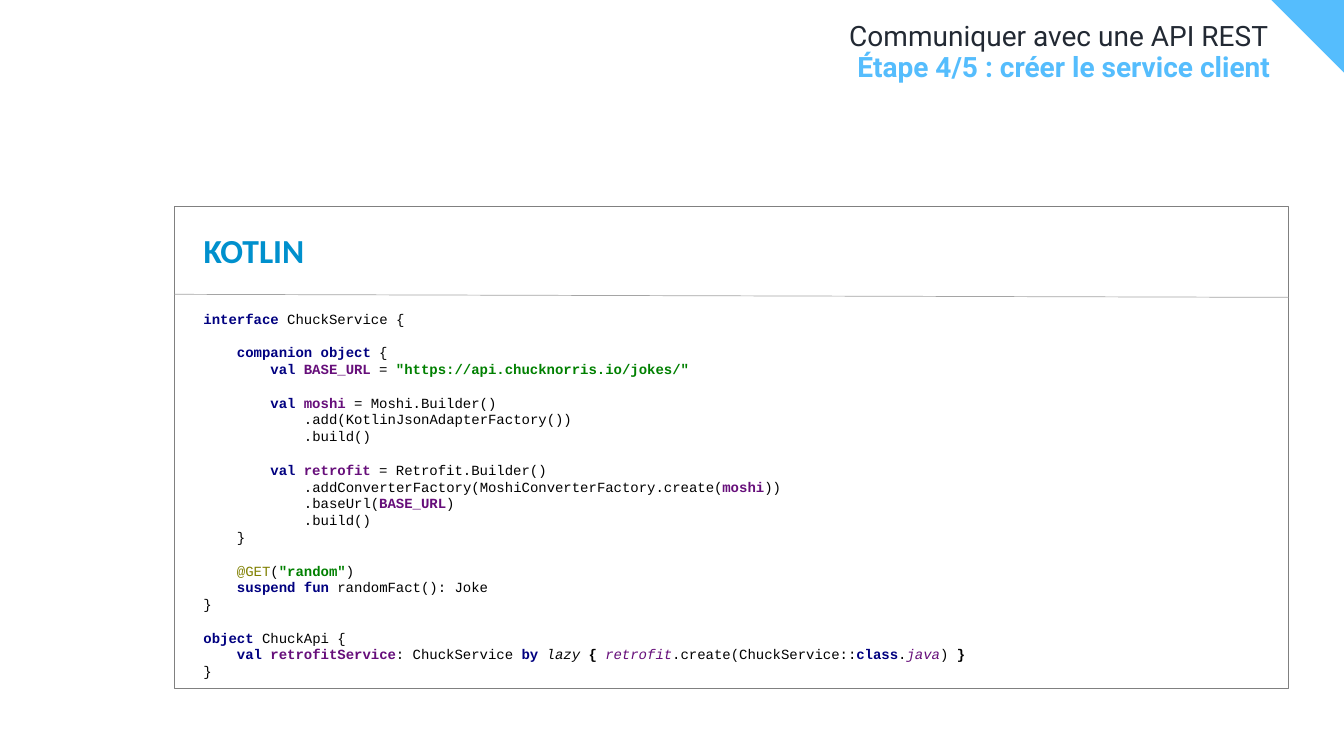
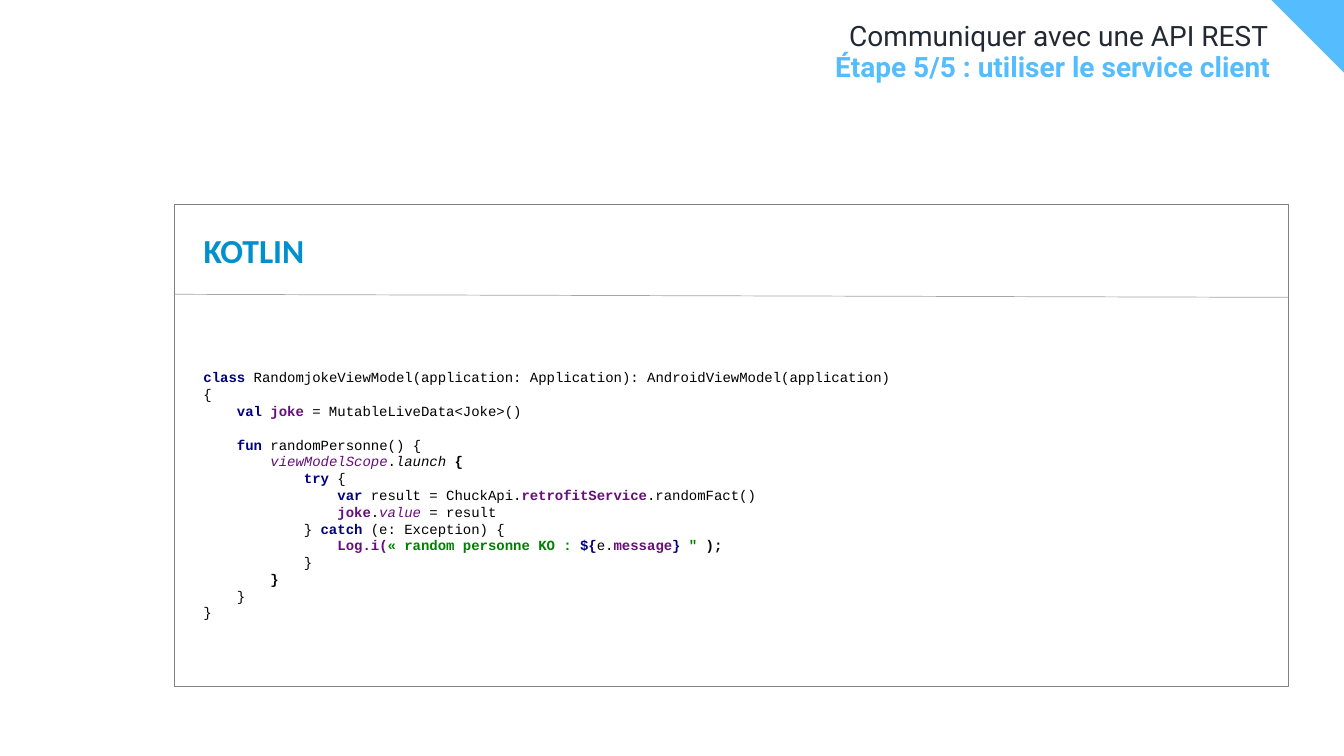
import pptx
import pptx.util
import pptx.dml.color
import pptx.enum.shapes
import pptx.enum.text
import pptx.oxml.ns
from lxml import etree

Inches, Pt = pptx.util.Inches, pptx.util.Pt
Align = pptx.enum.text.PP_ALIGN
Anchor = pptx.enum.text.MSO_ANCHOR
RECTANGLE = pptx.enum.shapes.MSO_SHAPE.RECTANGLE

COLORS = {
    "white": "FFFFFF", "black": "000000", "sky": "55BDFD", "ink": "222933",
    "frame": "808080", "rule": "A5A5A5", "language": "0090CD",
    "navy": "000080", "purple": "660E7A", "green": "008000", "olive": "808000",
}

# Syntax styles: colour, bold, italic
SYNTAX = {
    "plain": ("black", False, False),
    "strong": ("black", True, False),
    "call": ("black", False, True),
    "key": ("navy", True, False),
    "name": ("purple", True, False),
    "ref": ("purple", False, True),
    "text": ("green", True, False),
    "note": ("olive", False, False),
}

# Shared geometry, in inches: left, top, width, height
TITLE_BOX = (0.37, 0.22, 12.21, 0.31)
STEP_BOX = (0.37, 0.53, 12.23, 0.43)
CODE_REGION = (1.73, 2.04, 11.05, 4.78)
CODE_LINE = 12  # points

# Code: one tuple of (style, text) runs a line; an empty tuple is a gap
SERVICE_CODE = [
    (("key", "interface "), ("plain", "ChuckService {")),
    (),
    (("key", "    companion object "), ("plain", "{")),
    (("key", "        val "), ("name", "BASE_URL "), ("plain", "= "),
     ("text", "\"https://api.chucknorris.io/jokes/\"")),
    (),
    (("key", "        val "), ("name", "moshi "), ("plain", "= Moshi.Builder()")),
    (("plain", "            .add(KotlinJsonAdapterFactory())"),),
    (("plain", "            .build()"),),
    (),
    (("key", "        val "), ("name", "retrofit "), ("plain", "= Retrofit.Builder()")),
    (("plain", "            .addConverterFactory(MoshiConverterFactory.create("),
     ("name", "moshi"), ("plain", "))")),
    (("plain", "            .baseUrl("), ("name", "BASE_URL"), ("plain", ")")),
    (("plain", "            .build()"),),
    (("plain", "    }"),),
    (),
    (("note", "    @GET"), ("plain", "("), ("text", "\"random\""), ("plain", ")")),
    (("key", "    suspend fun "), ("plain", "randomFact(): Joke")),
    (("plain", "}"),),
    (),
    (("key", "object "), ("plain", "ChuckApi {")),
    (("key", "    val "), ("name", "retrofitService"), ("plain", ": ChuckService "),
     ("key", "by "), ("call", "lazy "), ("strong", "{ "), ("ref", "retrofit"),
     ("plain", ".create(ChuckService::"), ("key", "class"), ("plain", "."),
     ("ref", "java"), ("plain", ") "), ("strong", "}")),
    (("plain", "}"),),
]
VIEW_MODEL_CODE = [
    (("key", "class "),
     ("plain", "RandomjokeViewModel(application: Application): AndroidViewModel(application)")),
    (("plain", "{"),),
    (("key", "    val "), ("name", "joke "), ("plain", "= MutableLiveData<Joke>()")),
    (),
    (("key", "    fun "), ("plain", "randomPersonne() {")),
    (("ref", "        viewModelScope"), ("plain", "."), ("call", "launch "), ("strong", "{")),
    (("key", "            try "), ("plain", "{")),
    (("key", "                var "), ("plain", "result = ChuckApi."),
     ("name", "retrofitService"), ("plain", ".randomFact()")),
    (("name", "                joke"), ("plain", "."), ("ref", "value "), ("plain", "= result")),
    (("plain", "            } "), ("key", "catch "), ("plain", "(e: Exception) {")),
    (("name", "                Log.i("), ("text", "« random personne KO : "), ("key", "${"),
     ("plain", "e."), ("name", "message"), ("key", "}"), ("text", " \" "), ("strong", ");")),
    (("plain", "            }"),),
    (("strong", "        }"),),
    (("plain", "    }"),),
    (("plain", "}"),),
]


def rgb(color):
    return pptx.dml.color.RGBColor.from_string(COLORS[color])


def add_run(paragraph, text, font, size, color, bold=False, italic=False):
    run = paragraph.add_run()
    run.text = text
    run.font.name, run.font.size = font, Pt(size)
    run.font.bold, run.font.italic = bold, italic
    run.font.color.rgb = rgb(color)


def add_panel(slide, box, line=None):
    panel = slide.shapes.add_shape(RECTANGLE, *map(Inches, box))
    panel.shadow.inherit = False
    panel.fill.solid()
    panel.fill.fore_color.rgb = rgb("white")
    if line:
        panel.line.color.rgb = rgb(line)
        panel.line.width = Pt(1)
    else:
        panel.line.fill.background()
    return panel


def add_corner(slide, layout):
    """Build the corner triangle and hand it to the shared layout."""
    left, top, side = 12.6, -0.01, 0.75
    outline = slide.shapes.build_freeform(Inches(left), Inches(top), scale=1.0)
    outline.add_line_segments([(Inches(left + side), Inches(top)),
                               (Inches(left + side), Inches(top + side))], close=True)
    corner = outline.convert_to_shape()
    corner.shadow.inherit = False
    corner.fill.solid()
    corner.fill.fore_color.rgb = rgb("sky")
    corner.line.fill.background()
    layout.shapes.element.append(corner.element)


def fill_heading(placeholder, box, text, color, bold=False):
    placeholder.left, placeholder.top, placeholder.width, placeholder.height = map(Inches, box)
    frame = placeholder.text_frame
    frame.margin_left = frame.margin_top = frame.margin_right = frame.margin_bottom = 0
    frame.vertical_anchor = Anchor.TOP
    frame.auto_size = pptx.enum.text.MSO_AUTO_SIZE.NONE
    frame.word_wrap = True
    heading = frame.paragraphs[0]
    properties = heading._p.get_or_add_pPr()
    properties.set("marL", "0")
    properties.set("indent", "0")
    etree.SubElement(properties, pptx.oxml.ns.qn("a:buNone"))
    heading.alignment = Align.RIGHT
    heading.line_spacing = 0.9
    heading.space_before = Pt(0)
    add_run(heading, text, "Roboto", 20, color, bold)


def add_code(slide, box, lines):
    frame = add_panel(slide, box).text_frame
    frame.word_wrap = True
    frame.vertical_anchor = Anchor.MIDDLE
    paragraph, gap = frame.paragraphs[0], 0
    for number, runs in enumerate(lines):
        if not runs:
            gap = CODE_LINE
            continue
        if number:
            paragraph = frame.add_paragraph()
        paragraph.alignment = Align.LEFT
        paragraph.line_spacing = Pt(CODE_LINE)
        paragraph.space_before = Pt(gap)
        gap = 0
        for style, text in runs:
            add_run(paragraph, text, "Courier New", 10, *SYNTAX[style])


def add_code_region(slide, box, language, lines, frame_shift):
    left, top, width, height = box
    add_panel(slide, (left, top + frame_shift, width, height), "frame")

    # Rule under the language name
    rule = slide.shapes.add_connector(
        pptx.enum.shapes.MSO_CONNECTOR.STRAIGHT, Inches(left), Inches(top + 0.88),
        Inches(left + width), Inches(top + 0.91))
    rule.line.color.rgb = rgb("rule")
    rule.line.width = Pt(0.5)
    etree.SubElement(rule._element.spPr, pptx.oxml.ns.qn("a:effectLst"))

    # Language name
    label = slide.shapes.add_textbox(
        Inches(left + 0.19), Inches(top), Inches(1.25), Inches(0.69)).text_frame
    label.word_wrap = True
    label.vertical_anchor = Anchor.BOTTOM
    add_run(label.paragraphs[0], language, "Calibri", 24, "language", True)

    # Code, centred on a fixed height below the rule
    code_height = len(lines) * CODE_LINE / 72 + 0.13
    add_code(slide, (left + 0.19, top + 2.87 - code_height / 2, 8.1, code_height), lines)


def add_step_slide(deck, layout, step, lines, frame_shift):
    slide = deck.slides.add_slide(layout)
    fill_heading(slide.shapes.title, TITLE_BOX, "Communiquer avec une API REST", "ink")
    fill_heading(slide.placeholders[1], STEP_BOX, step, "sky", True)
    add_code_region(slide, CODE_REGION, "KOTLIN", lines, frame_shift)
    return slide


def main():
    deck = pptx.Presentation()
    deck.slide_width, deck.slide_height = Inches(13.33), Inches(7.5)
    layout = deck.slide_layouts[1]
    service = add_step_slide(deck, layout, "Étape 4/5 : créer le service client",
                             SERVICE_CODE, 0.01)
    add_corner(service, layout)
    add_step_slide(deck, layout, "Étape 5/5 : utiliser le service client",
                   VIEW_MODEL_CODE, -0.01)
    deck.save("out.pptx")


if __name__ == "__main__":
    main()
